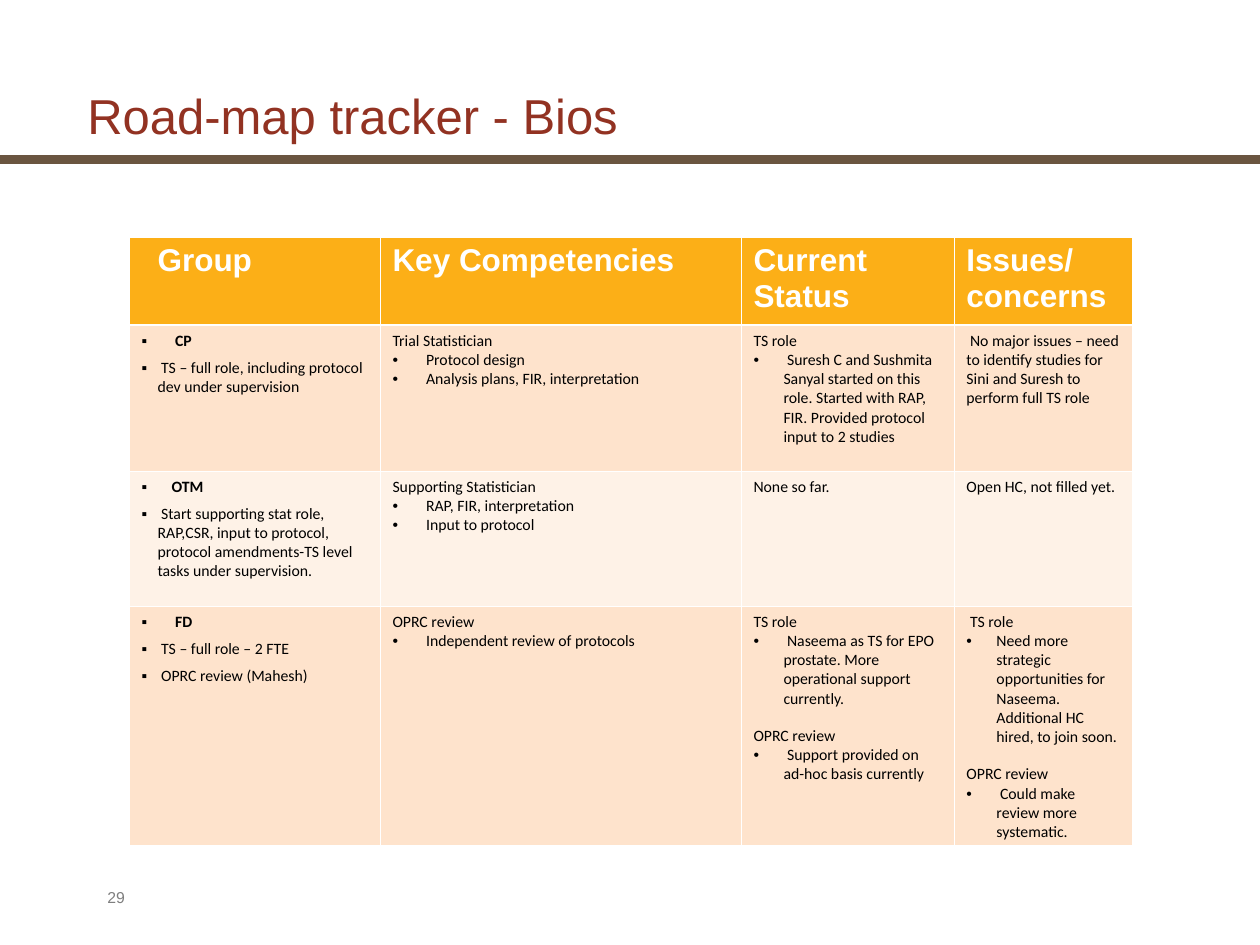
from lxml import etree
from pptx import Presentation
from pptx.dml.color import RGBColor
from pptx.enum.shapes import MSO_SHAPE
from pptx.enum.text import MSO_ANCHOR
from pptx.oxml.ns import qn
from pptx.util import Pt

RECTANGLE = MSO_SHAPE.RECTANGLE
BOTTOM = MSO_ANCHOR.BOTTOM
EMU_PER_PX = 914400 / 126

# Content
TITLE = "Road-map tracker - Bios"
PAGE_NUMBER = "29"
HEADERS = ["Group", "Key Competencies", "Current Status", "Issues/concerns"]

# Each paragraph is (style, text)
ROWS = [
    [
        [("group", " CP"),
         ("task", " TS – full role, including protocol dev under supervision")],
        [("plain", "Trial Statistician"),
         ("bullet", " Protocol design"),
         ("bullet", " Analysis plans, FIR, interpretation")],
        [("plain", "TS role"),
         ("bullet", " Suresh C and Sushmita Sanyal started on this role. Started "
                    "with RAP, FIR. Provided protocol input to 2 studies")],
        [("plain", " No major issues – need to identify studies for Sini and "
                   "Suresh to perform full TS role")],
    ],
    [
        [("group", "OTM"),
         ("task", " Start supporting stat role, RAP,CSR, input to protocol, "
                  "protocol amendments-TS level tasks under supervision.")],
        [("plain", "Supporting Statistician"),
         ("bullet", " RAP, FIR, interpretation"),
         ("bullet", " Input to protocol")],
        [("plain", "None so far.")],
        [("plain", "Open HC, not filled yet.")],
    ],
    [
        [("group", " FD"),
         ("task", " TS – full role – 2 FTE"),
         ("task", " OPRC review (Mahesh)")],
        [("plain", "OPRC review"),
         ("bullet", " Independent review of protocols")],
        [("plain", "TS role"),
         ("bullet", " Naseema as TS for EPO prostate. More operational support "
                    "currently."),
         ("section", "OPRC review"),
         ("bullet", " Support provided on ad-hoc basis currently")],
        [("plain", " TS role"),
         ("bullet", "Need more strategic opportunities for Naseema. Additional "
                    "HC hired, to join soon."),
         ("section", "OPRC review"),
         ("bullet", " Could make review more systematic.")],
    ],
]

# Style: bullet character, hanging indent in px, bold, points before, points after
STYLES = {
    "group": ("▪", 30, True, 0, 4.5),
    "task": ("▪", 16, False, 0, 4.5),
    "plain": (None, 0, False, 0, 0),
    "section": (None, 0, False, 10.5, 0),
    "bullet": ("•", 30, False, 0, 0),
}

COLUMN_WIDTHS = [251, 361, 213, 178]
ROW_HEIGHTS = [88, 146, 135, 222]
TABLE_LEFT, TABLE_TOP = 129, 237
HEADER_FILL = "FCAF17"
BAND_FILLS = ["FEE3CC", "FEF2E7"]
THIN, THICK = 0.45, 1.47


def px(length):
    return round(length * EMU_PER_PX)


def color(hex_string):
    return RGBColor.from_string(hex_string)


def set_font(paragraph, name, size, hex_string, bold=False):
    for run in paragraph.runs:
        run.font.name = name
        run.font.size = Pt(size)
        run.font.bold = bold
        run.font.color.rgb = color(hex_string)


def set_indent(paragraph, margin, bullet=None):
    properties = paragraph._p.get_or_add_pPr()
    properties.set("marL", str(px(margin)))
    properties.set("indent", str(-px(margin) if bullet else 0))
    if bullet:
        etree.SubElement(properties, qn("a:buFont")).set("typeface", "Arial")
        etree.SubElement(properties, qn("a:buChar")).set("char", bullet)


def set_borders(cell, top, bottom):
    properties = cell._tc.get_or_add_tcPr()
    sides = [("L", THIN), ("R", THIN), ("T", top), ("B", bottom)]
    for position, (side, width) in enumerate(sides):
        line = etree.Element(qn(f"a:ln{side}"), w=str(Pt(width)))
        fill = etree.SubElement(line, qn("a:solidFill"))
        etree.SubElement(fill, qn("a:srgbClr")).set("val", "FFFFFF")
        properties.insert(position, line)


def fill_cell(cell, hex_string, top=THIN, bottom=THIN):
    cell.fill.solid()
    cell.fill.fore_color.rgb = color(hex_string)
    set_borders(cell, top, bottom)


def write_cell(cell, entries):
    text_frame = cell.text_frame
    text_frame.text = "\n".join(text for _, text in entries)
    for paragraph, (style, _) in zip(text_frame.paragraphs, entries):
        bullet, indent, bold, before, after = STYLES[style]
        set_indent(paragraph, indent, bullet)
        paragraph.space_before = Pt(before)
        paragraph.space_after = Pt(after)
        set_font(paragraph, "Calibri", 9, "000000", bold)


def add_text(slide, box, text, size, hex_string):
    text_frame = slide.shapes.add_textbox(*map(px, box)).text_frame
    text_frame.word_wrap = True
    text_frame.text = text
    set_font(text_frame.paragraphs[0], "Arial", size, hex_string)
    return text_frame


def add_tracker_table(slide):
    table = slide.shapes.add_table(
        len(ROW_HEIGHTS), len(COLUMN_WIDTHS), px(TABLE_LEFT), px(TABLE_TOP),
        px(sum(COLUMN_WIDTHS)), px(sum(ROW_HEIGHTS))).table
    for column, width in zip(table.columns, COLUMN_WIDTHS):
        column.width = px(width)
    for row, height in zip(table.rows, ROW_HEIGHTS):
        row.height = px(height)

    # Header row
    for index, header in enumerate(HEADERS):
        cell = table.cell(0, index)
        cell.text_frame.text = header
        paragraph = cell.text_frame.paragraphs[0]
        set_indent(paragraph, 16 if index == 0 else 0)
        set_font(paragraph, "Arial", 18, "FFFFFF", True)
        fill_cell(cell, HEADER_FILL, bottom=THICK)

    # Banded body rows
    for row_index, row in enumerate(ROWS):
        for column_index, entries in enumerate(row):
            cell = table.cell(row_index + 1, column_index)
            write_cell(cell, entries)
            fill_cell(cell, BAND_FILLS[row_index % 2],
                      top=THICK if row_index == 0 else THIN)


def main():
    presentation = Presentation()
    presentation.slide_width = px(1260)
    presentation.slide_height = px(945)
    slide = presentation.slides.add_slide(presentation.slide_layouts[6])

    # Rule under the title
    rule = slide.shapes.add_shape(RECTANGLE, 0, px(155), px(1260), px(9))
    rule.shadow.inherit = False
    rule.fill.solid()
    rule.fill.fore_color.rgb = color("6A5540")
    rule.line.fill.background()

    # Title
    title = add_text(slide, (75, 84, 1143, 68), TITLE, 28, "923222")
    title.vertical_anchor = BOTTOM
    title.paragraphs[0].line_spacing = 0.95

    add_tracker_table(slide)

    # Page number
    add_text(slide, (95, 882, 892, 34), PAGE_NUMBER, 9, "7F7F7F")

    presentation.save("out.pptx")


if __name__ == "__main__":
    main()
